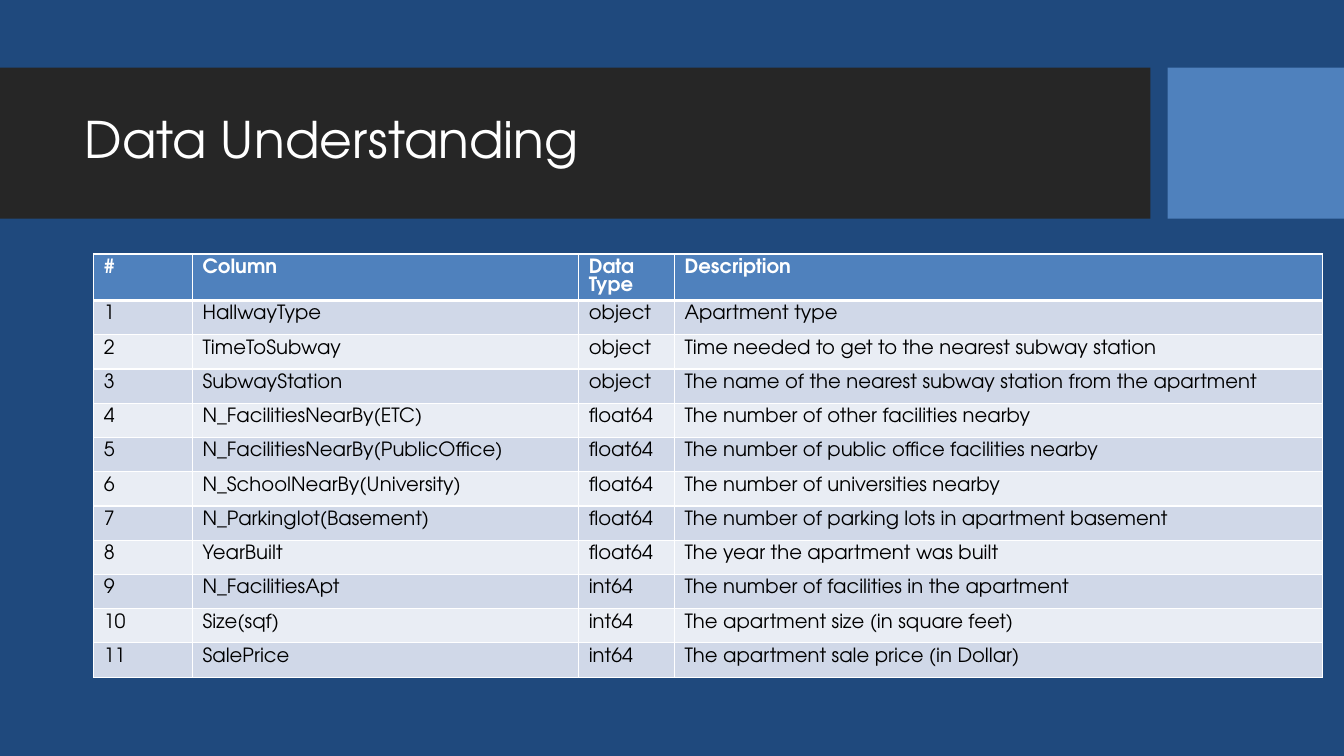
import pptx
import pptx.util
import pptx.dml.color
import pptx.enum.shapes
import pptx.enum.text
import pptx.oxml
import pptx.oxml.ns

RGBColor = pptx.dml.color.RGBColor
NAVY = RGBColor(0x1F, 0x49, 0x7D)
DARK = RGBColor(0x26, 0x26, 0x26)
BLUE = RGBColor(0x4F, 0x81, 0xBD)
PALE = RGBColor(0xE9, 0xED, 0xF4)
MIST = RGBColor(0xD0, 0xD8, 0xE8)
WHITE = RGBColor(0xFF, 0xFF, 0xFF)
BLACK = RGBColor(0, 0, 0)

FONT = "TeX Gyre Adventor"
WIDE, HIGH = 13.33, 7.5
BAND_TOP, BAND_HIGH = 0.67, 1.5
COLS = (0.98, 3.83, 0.95, 6.43)
ROW_HIGH = 0.34

HEAD = ("#", "Column", "Data Type", "Description")
FIELDS = (
    ("HallwayType", "object", "Apartment type"),
    ("TimeToSubway", "object", "Time needed to get to the nearest subway station"),
    ("SubwayStation", "object", "The name of the nearest subway station from the apartment"),
    ("N_FacilitiesNearBy(ETC)", "float64", "The number of other facilities nearby"),
    ("N_FacilitiesNearBy(PublicOffice)", "float64",
     "The number of public office facilities nearby"),
    ("N_SchoolNearBy(University)", "float64", "The number of universities nearby"),
    ("N_Parkinglot(Basement)", "float64", "The number of parking lots in apartment basement"),
    ("YearBuilt", "float64", "The year the apartment was built"),
    ("N_FacilitiesApt", "int64", "The number of facilities in the apartment"),
    ("Size(sqf)", "int64", "The apartment size (in square feet)"),
    ("SalePrice", "int64", "The apartment sale price (in Dollar)"),
)


def inches(*sizes):
    return [pptx.util.Inches(size) for size in sizes]


def add_run(para, text, size, color, bold=False):
    run = para.add_run()
    run.text = text
    run.font.name = FONT
    run.font.size = pptx.util.Pt(size)
    run.font.bold = bold
    run.font.color.rgb = color


def add_band(slide, left, width, color):
    kind = pptx.enum.shapes.MSO_SHAPE.RECTANGLE
    band = slide.shapes.add_shape(kind, *inches(left, BAND_TOP, width, BAND_HIGH))
    band.shadow.inherit = False
    band.fill.solid()
    band.fill.fore_color.rgb = color
    band.line.fill.background()


def set_title(slide, text):
    title = slide.shapes.title
    title.left, title.top, title.width, title.height = inches(0.74, 0.82, 10.51, 1.18)
    frame = title.text_frame
    frame.word_wrap = True
    frame.vertical_anchor = pptx.enum.text.MSO_ANCHOR.MIDDLE
    para = frame.paragraphs[0]
    para.alignment = pptx.enum.text.PP_ALIGN.LEFT
    para.line_spacing = 0.9
    add_run(para, text, 36, WHITE)
    # Bring the title in front of the bands
    title.element.getparent().append(title.element)


def set_edge(cell, side, points):
    line = pptx.oxml.parse_xml(
        f'<a:{side} {pptx.oxml.ns.nsdecls("a")} w="{pptx.util.Pt(points)}">'
        f'<a:solidFill><a:srgbClr val="{WHITE}"/></a:solidFill></a:{side}>')
    cell.fill  # borders go ahead of the fill, which is set later
    cell._tc.get_or_add_tcPr().append(line)


def fill_cell(cell, text, row):
    head = row == 0
    # Header rule is thick on both cells that share it
    edges = {"lnL": 1, "lnR": 1, "lnT": 3 if row == 1 else 1, "lnB": 3 if head else 1}
    for side, points in edges.items():
        set_edge(cell, side, points)
    cell.fill.solid()
    cell.fill.fore_color.rgb = BLUE if head else (MIST if row % 2 else PALE)
    add_run(cell.text_frame.paragraphs[0], text, 14, WHITE if head else BLACK, head)


def add_grid(slide, left, top):
    rows = [HEAD] + [(str(num), *field) for num, field in enumerate(FIELDS, 1)]
    place = inches(left, top, sum(COLS), ROW_HIGH * len(rows))
    grid = slide.shapes.add_table(len(rows), len(COLS), *place).table
    for col, width in zip(grid.columns, inches(*COLS)):
        col.width = width
    for r, texts in enumerate(rows):
        grid.rows[r].height = pptx.util.Inches(ROW_HIGH)
        for c, text in enumerate(texts):
            fill_cell(grid.cell(r, c), text, r)


def main():
    deck = pptx.Presentation()
    deck.slide_width, deck.slide_height = inches(WIDE, HIGH)
    slide = deck.slides.add_slide(deck.slide_layouts[5])
    slide.background.fill.solid()
    slide.background.fill.fore_color.rgb = NAVY

    # Header bands and title
    add_band(slide, 0, 11.41, DARK)
    add_band(slide, 11.58, WIDE - 11.58, BLUE)
    set_title(slide, "Data Understanding")

    # Table of data fields
    add_grid(slide, 0.93, 2.52)
    deck.save("out.pptx")


if __name__ == "__main__":
    main()
